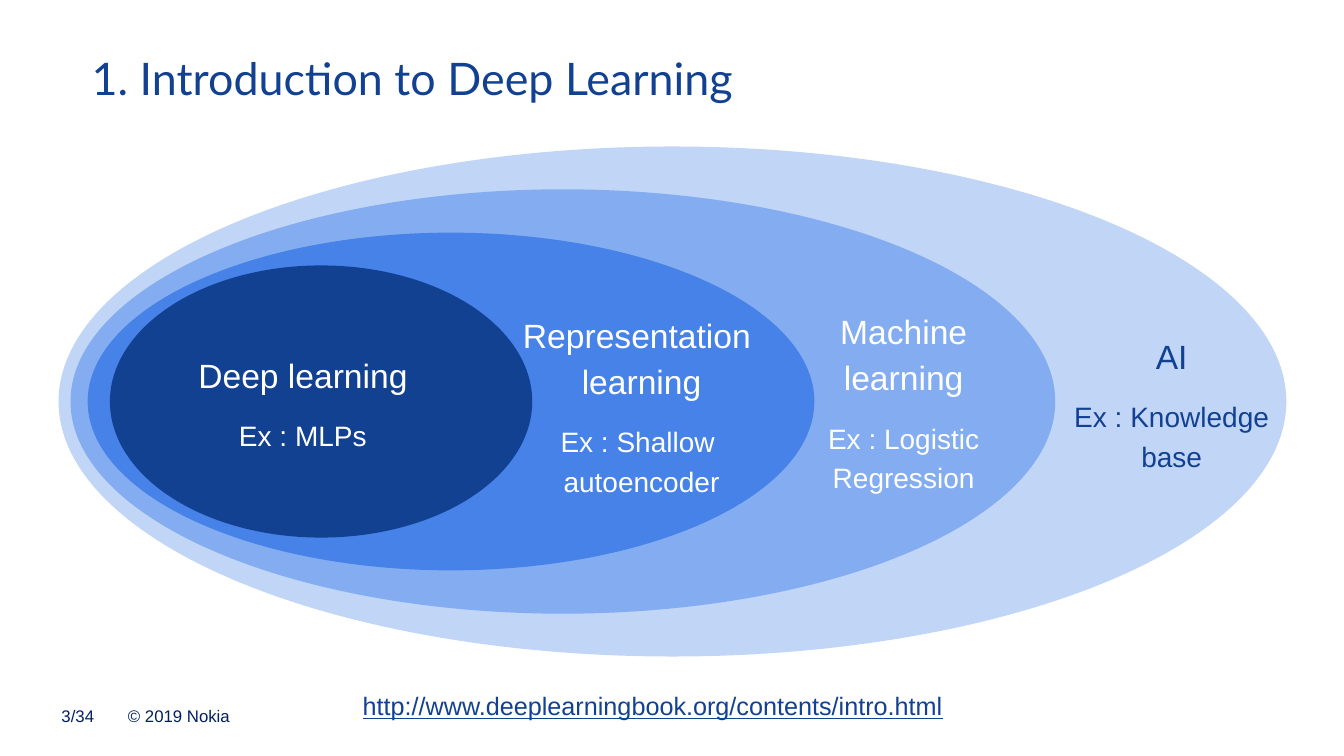
"""Build the slide that nests deep learning inside AI."""
from pptx import Presentation
from pptx.dml.color import RGBColor
from pptx.enum.shapes import MSO_SHAPE
from pptx.enum.text import MSO_ANCHOR, PP_ALIGN
from pptx.util import Pt

NAVY = RGBColor(0x12, 0x41, 0x91)
BLUE = RGBColor(0x46, 0x82, 0xE8)
LIGHT_BLUE = RGBColor(0x84, 0xAC, 0xF0)
PALE_BLUE = RGBColor(0xC1, 0xD5, 0xF7)
FOOTER_BLUE = RGBColor(0x00, 0x20, 0x60)
WHITE = RGBColor(0xFF, 0xFF, 0xFF)

CENTRE_Y = 286.8
LABEL_WIDTH = 216.7
HEADING_SIZE, EXAMPLE_SIZE = 24, 20
LINE_GAP, EXAMPLE_GAP = 3, 15.7

FIELDS = [
    (41.8, 877, 364.3, PALE_BLUE),
    (50.4, 703.4, 303.1, LIGHT_BLUE),
    (62.6, 519.1, 241.2, BLUE),
    (78.5, 301.7, 194.4, NAVY),
]
LABELS = [
    (108, 246.2, 80.6, WHITE, ["Deep learning"], ["Ex : MLPs"]),
    (349.9, 217.4, 139, WHITE, ["Representation ", "learning"], ["Ex : Shallow ", "autoencoder"]),
    (537.1, 214.6, 139, WHITE, ["Machine", "learning"], ["Ex : Logistic", "Regression"]),
    (728.6, 232.6, 139, NAVY, ["AI"], ["Ex : Knowledge", "base"]),
]


def style(paragraph, size, color, name="Arial"):
    """Format every run of a paragraph."""
    for run in paragraph.runs:
        run.font.name = name
        run.font.size = Pt(size)
        run.font.color.rgb = color


def set_margins(frame, margin):
    """Give a text frame the same margin on all sides."""
    frame.margin_left = frame.margin_right = Pt(margin)
    frame.margin_top = frame.margin_bottom = Pt(margin)


def add_title(slide, text):
    """Fill and place the title placeholder."""
    title = slide.shapes.title
    title.left, title.top, title.width, title.height = Pt(65.5), Pt(40.3), Pt(530.6), Pt(23.8)
    frame = title.text_frame
    frame.text = text
    frame.vertical_anchor = MSO_ANCHOR.TOP
    set_margins(frame, 0)
    heading = frame.paragraphs[0]
    heading.alignment = PP_ALIGN.LEFT
    heading.line_spacing = 0.9
    style(heading, 32, NAVY, "Lato")


def add_field(slide, left, width, height, color):
    """Add one ellipse, centred on the shared horizontal axis."""
    field = slide.shapes.add_shape(
        MSO_SHAPE.OVAL, Pt(left), Pt(CENTRE_Y - height / 2), Pt(width), Pt(height))
    field.shadow.inherit = False
    field.fill.solid()
    field.fill.fore_color.rgb = color
    field.line.fill.background()


def add_label(slide, left, top, height, color, heading, example):
    """Add a field's name with its example below."""
    label = slide.shapes.add_textbox(Pt(left), Pt(top), Pt(LABEL_WIDTH), Pt(height))
    frame = label.text_frame
    frame.word_wrap = False
    set_margins(frame, 5.8)
    frame.text = "\n".join(heading + example)
    for index, line in enumerate(frame.paragraphs):
        line.alignment = PP_ALIGN.CENTER
        line.line_spacing = 1.05
        line.space_after = Pt(EXAMPLE_GAP if index == len(heading) - 1 else LINE_GAP)
        style(line, HEADING_SIZE if index < len(heading) else EXAMPLE_SIZE, color)


def add_footer(slide, left, width, text):
    """Add a small text on the footer line."""
    footer = slide.shapes.add_textbox(Pt(left), Pt(504), Pt(width), Pt(14.4))
    frame = footer.text_frame
    frame.word_wrap = True
    frame.vertical_anchor = MSO_ANCHOR.BOTTOM
    set_margins(frame, 0)
    frame.text = text
    style(frame.paragraphs[0], 12, FOOTER_BLUE)


def add_reference(slide, address):
    """Add the underlined web address of the reference."""
    reference = slide.shapes.add_textbox(Pt(252), Pt(489.6), Pt(456.5), Pt(28.8))
    frame = reference.text_frame
    frame.word_wrap = True
    frame.text = address
    style(frame.paragraphs[0], 18, NAVY)
    frame.paragraphs[0].runs[0].font.underline = True


def main():
    """Build and save the slide."""
    deck = Presentation()
    deck.slide_width, deck.slide_height = Pt(960), Pt(540)
    slide = deck.slides.add_slide(deck.slide_layouts.get_by_name("Title Only"))
    add_footer(slide, 43.9, 35.3, "3/34")
    add_footer(slide, 91.4, 188.6, "© 2019 Nokia")
    add_title(slide, "1. Introduction to Deep Learning")
    for field in FIELDS:
        add_field(slide, *field)
    for label in LABELS:
        add_label(slide, *label)
    add_reference(slide, "http://www.deeplearningbook.org/contents/intro.html")
    deck.save("out.pptx")


if __name__ == "__main__":
    main()
